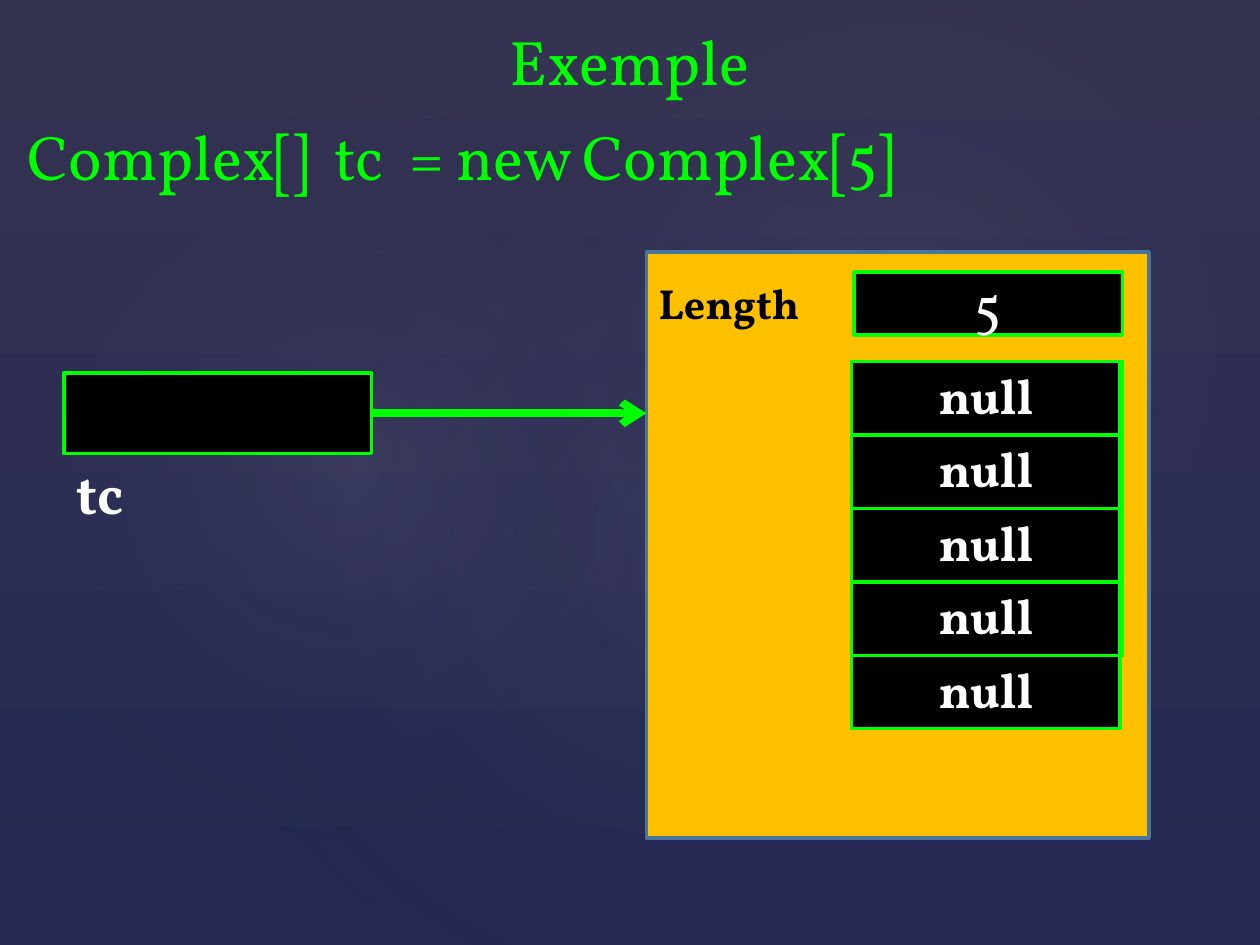
import pptx
import pptx.dml.color
import pptx.enum.shapes
import pptx.enum.text
import pptx.oxml
import pptx.oxml.ns
import pptx.util
import lxml.etree

Inches = pptx.util.Inches
ALIGN = pptx.enum.text.PP_ALIGN
ANCHOR = pptx.enum.text.MSO_ANCHOR
SHAPE = pptx.enum.shapes.MSO_SHAPE
GREEN = "00FF00"
WHITE = "FFFFFF"
BLACK = "000000"
ROW_HEIGHT = 0.583


def color(value):
    return pptx.dml.color.RGBColor.from_string(value)


def drawing(name, parent, **attributes):
    return lxml.etree.SubElement(parent, pptx.oxml.ns.qn("a:" + name), **attributes)


def write(frame, text, size=36, ink=GREEN, bold=False, align=ALIGN.LEFT, anchor=ANCHOR.TOP):
    frame.word_wrap = True
    frame.vertical_anchor = anchor
    para = frame.paragraphs[0]
    para.alignment = align
    span = para.add_run()
    span.text = text
    span.font.name = "Vollkorn"
    span.font.size = pptx.util.Pt(size)
    span.font.bold = bold
    span.font.color.rgb = color(ink)


def add_label(shapes, place, text, **style):
    box = shapes.add_textbox(*map(Inches, place))
    write(box.text_frame, text, **style)


def add_box(shapes, place, fill=BLACK, line=GREEN):
    box = shapes.add_shape(SHAPE.RECTANGLE, *map(Inches, place))
    box.shadow.inherit = False
    box.fill.solid()
    box.fill.fore_color.rgb = color(fill)
    box.line.color.rgb = color(line)
    box.line.width = pptx.util.Pt(2)
    return box


def add_glow(page, place, rotation, opacity):
    glow = page.shapes.add_shape(SHAPE.OVAL, *map(Inches, place))
    glow.shadow.inherit = False
    glow.rotation = rotation
    glow.line.fill.background()
    glow.fill.gradient()
    gradient = glow.fill._xPr.find(pptx.oxml.ns.qn("a:gradFill"))
    for child in list(gradient):
        gradient.remove(child)
    stops = drawing("gsLst", gradient)
    for position, tint, alpha in ((0, "C4BCC6", opacity), (58, "242852", 0)):
        stop = drawing("gs", stops, pos=str(position * 1000))
        shade = drawing("srgbClr", stop, val=tint)
        drawing("alpha", shade, val=str(alpha * 1000))
    center = drawing("path", gradient, path="circle")
    drawing("fillToRect", center, l="50000", t="50000", r="50000", b="50000")


def add_background(page):
    fill = page.background.fill
    fill.gradient()
    fill.gradient_angle = 270
    for stop, tint, position in zip(fill.gradient_stops, ("343352", "242852"), (0, 1)):
        stop.color.rgb = color(tint)
        stop.position = position
    add_glow(page, (1.5, 1.14, 7.92, 6.24), 328.7, 7)
    add_glow(page, (-0.3, 1.28, 6.06, 4.9), 294.3, 8)
    add_glow(page, (3.58, 0.13, 7.09, 5.2), 328.7, 8)


def add_cells(page, left, texts):
    place = (left, 2.87, 2.13, ROW_HEIGHT * len(texts))
    table = page.shapes.add_table(len(texts), 1, *map(Inches, place)).table
    table.first_row = False
    table.horz_banding = False
    for index, text in enumerate(texts):
        table.rows[index].height = Inches(ROW_HEIGHT)
        cell = table.cell(index, 0)
        properties = cell._tc.get_or_add_tcPr()
        for side in ("lnL", "lnR", "lnT", "lnB"):
            border = drawing(side, properties, w=str(pptx.util.Pt(2.25)))
            drawing("srgbClr", drawing("solidFill", border), val=GREEN)
        cell.fill.solid()
        cell.fill.fore_color.rgb = color(BLACK)
        if text:
            write(cell.text_frame, text, size=28, ink=WHITE, bold=True, align=ALIGN.CENTER)


def add_arrow(shapes, source, start, end):
    arrow = shapes.add_connector(
        pptx.enum.shapes.MSO_CONNECTOR.STRAIGHT, *map(Inches, start + end))
    arrow.begin_connect(source, 3)
    arrow.line.color.rgb = color(GREEN)
    arrow.line.width = pptx.util.Pt(4.5)
    drawing("tailEnd", arrow.line._get_or_add_ln(), type="arrow")
    drawing("effectLst", arrow._element.spPr)


def add_variable(page):
    group = page.shapes.add_group_shape()
    box = add_box(group.shapes, (0.51, 2.96, 2.44, 0.64))
    add_label(group.shapes, (0.51, 3.59, 2.44, 0.64), "tc", size=32, ink=WHITE, bold=True)
    add_arrow(group.shapes, box, (2.95, 3.28), (5.13, 3.28))


def add_title(page, text):
    title = page.shapes.title
    title.left, title.top, title.width, title.height = map(Inches, (0.12, 0.13, 9.75, 0.71))
    write(title.text_frame, text, align=ALIGN.CENTER)


def main():
    deck = pptx.Presentation()
    deck.slide_width = Inches(10)
    deck.slide_height = Inches(7.5)
    page = deck.slides.add_slide(deck.slide_layouts[5])
    add_background(page)
    add_title(page, "Exemple")
    add_label(page.shapes, (0.12, 0.88, 9.75, 0.71), "Complex[]  tc  = new Complex[5]")
    add_box(page.shapes, (5.13, 2, 3.99, 4.65), fill="FFC000", line="49749B")
    length = add_box(page.shapes, (6.78, 2.16, 2.13, 0.5))
    write(length.text_frame, "5", size=32, ink=WHITE, align=ALIGN.CENTER, anchor=ANCHOR.MIDDLE)
    add_label(page.shapes, (5.13, 2.15, 1.73, 0.5), "Length", size=24, ink=BLACK, bold=True)
    add_cells(page, 6.78, [""] * 4)
    add_cells(page, 6.76, ["null"] * 5)
    add_variable(page)
    deck.save("out.pptx")


if __name__ == "__main__":
    main()
